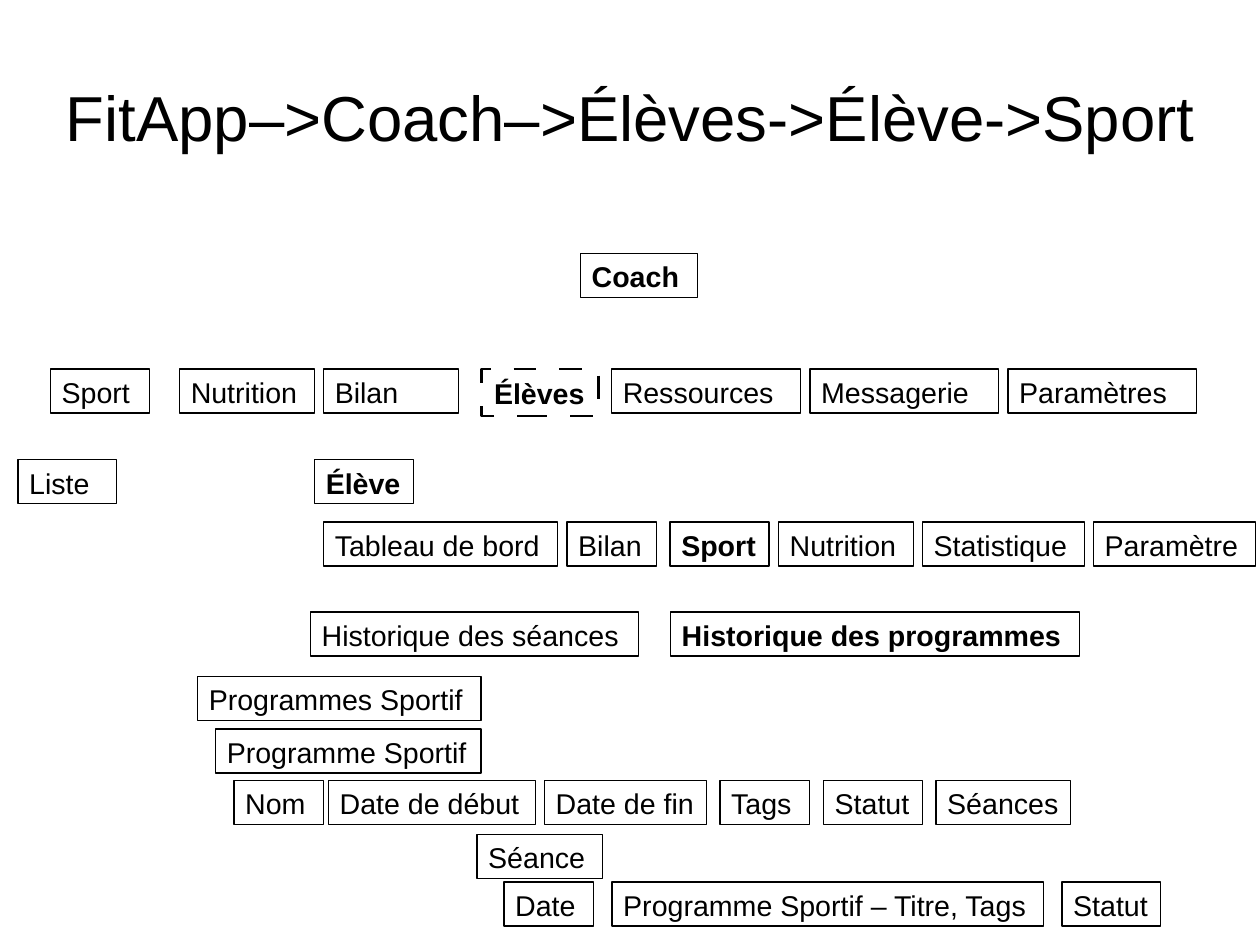
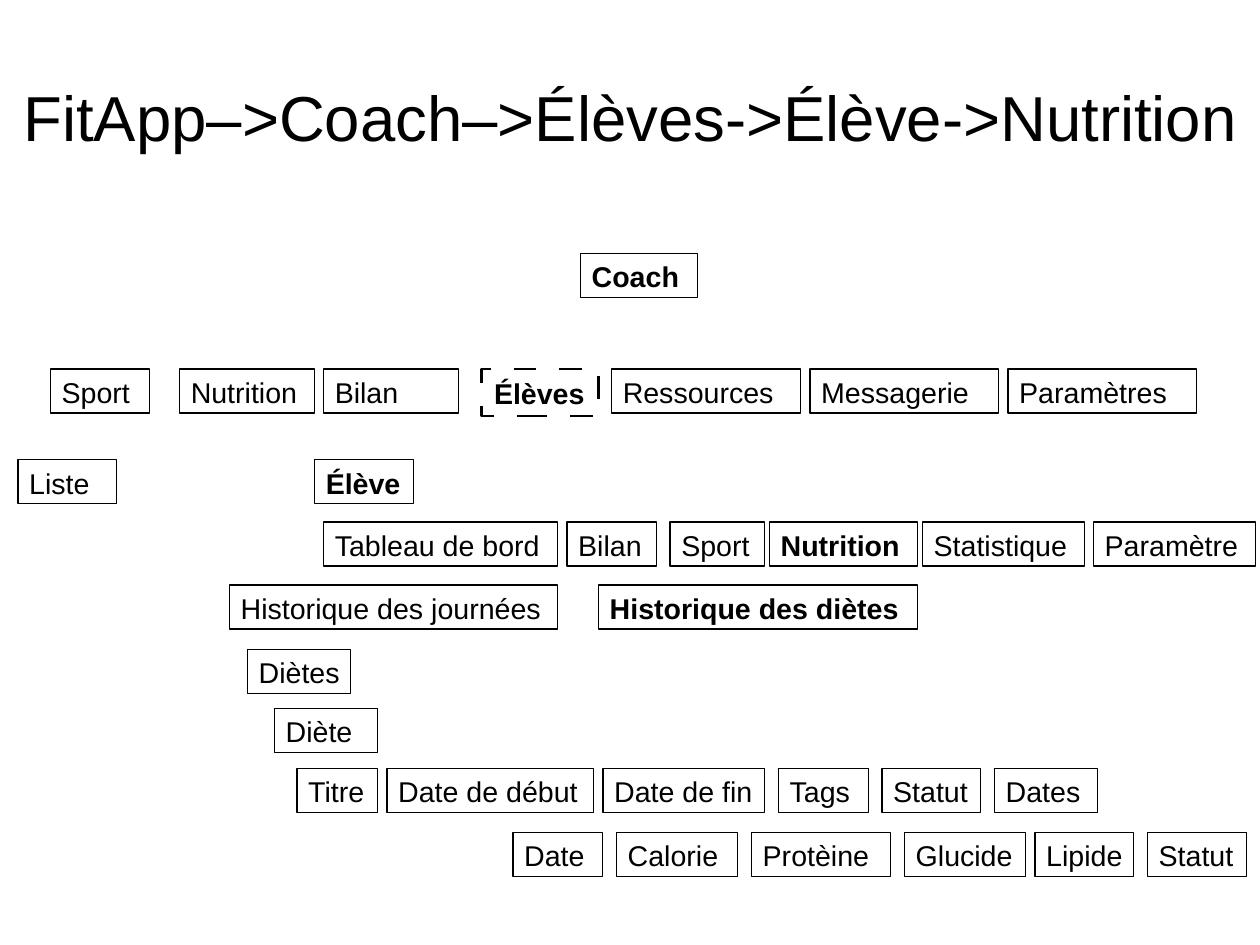
import dataclasses

import pptx
import pptx.dml.color
import pptx.enum.shapes
import pptx.enum.text
import pptx.util
from pptx.oxml.ns import qn
from lxml import etree


@dataclasses.dataclass(frozen=True)
class Theme:
    """Hold the colours, type sizes and grid that the slides share."""
    ink: pptx.dml.color.RGBColor = pptx.dml.color.RGBColor(0, 0, 0)
    font: str = "Arial"
    title_size: pptx.util.Pt = pptx.util.Pt(40)
    label_size: pptx.util.Pt = pptx.util.Pt(18)
    hairline: pptx.util.Pt = pptx.util.Pt(0)
    dashed_line: pptx.util.Pt = pptx.util.Pt(1.5)
    dash_share: str = "960000"
    columns: int = 280
    rows: int = 210


THEME = Theme()
PLAIN, BOLD, DASHED = "plain", "bold", "dashed"

COACH_MENU = [
    (56.3, [("Coach", 129, 26, BOLD)]),
    (82, [("Sport", 11.2, 22, PLAIN), ("Nutrition", 39.9, 30, PLAIN),
          ("Bilan", 71.9, 30, PLAIN), ("Élèves", 107, 26, DASHED),
          ("Ressources", 135.9, 42, PLAIN), ("Messagerie", 180, 42, PLAIN),
          ("Paramètres", 224, 42, PLAIN)]),
    (102.2, [("Liste", 4, 22, PLAIN), ("Élève", 69.9, 22, BOLD)]),
    (116, [("Tableau de bord", 71.9, 52, PLAIN), ("Bilan", 126, 20, PLAIN),
           ("Statistique", 205, 36, PLAIN), ("Paramètre", 243, 36, PLAIN)]),
]

SPORT_TREE = [
    (116, [("Sport", 148.9, 22, BOLD), ("Nutrition", 173, 30, PLAIN)]),
    (136, [("Historique des séances", 69, 73, PLAIN),
           ("Historique des programmes", 149, 91, BOLD)]),
    (150.3, [("Programmes Sportif", 43.9, 63, PLAIN)]),
    (162, [("Programme Sportif", 47.9, 59, PLAIN)]),
    (173.4, [("Nom", 52, 20, PLAIN), ("Date de début", 73, 46, PLAIN),
             ("Date de fin", 121, 36, PLAIN), ("Tags", 160, 20, PLAIN),
             ("Statut", 183, 22, PLAIN), ("Séances", 208, 30, PLAIN)]),
    (185.4, [("Séance", 106, 28, PLAIN)]),
    (196, [("Date", 112, 20, PLAIN),
           ("Programme Sportif – Titre, Tags", 136, 96, PLAIN),
           ("Statut", 236, 22, PLAIN)]),
]

NUTRITION_TREE = [
    (116, [("Sport", 148.9, 21, PLAIN), ("Nutrition", 171, 33, BOLD)]),
    (130, [("Historique des journées", 51, 73, PLAIN),
           ("Historique des diètes", 133, 71, BOLD)]),
    (144.3, [("Diètes", 55, 23, PLAIN)]),
    (157.4, [("Diète", 61, 23, PLAIN)]),
    (170.8, [("Titre", 66, 18, PLAIN), ("Date de début", 86, 46, PLAIN),
             ("Date de fin", 134, 36, PLAIN), ("Tags", 173, 20, PLAIN),
             ("Statut", 196, 22, PLAIN), ("Dates", 221, 23, PLAIN)]),
    (185, [("Date", 114, 20, PLAIN), ("Calorie", 137, 27, PLAIN),
           ("Protèine", 167, 31, PLAIN), ("Glucide", 201, 27, PLAIN),
           ("Lipide", 230, 22, PLAIN), ("Statut", 255, 22, PLAIN)]),
]

PAGES = [
    ("FitApp–>Coach–>Élèves->Élève->Sport", SPORT_TREE),
    ("FitApp–>Coach–>Élèves->Élève->Nutrition", NUTRITION_TREE),
]


def cell_box(box, column, row, columns, rows):
    """Turn grid cells of a box into left, top, width and height."""
    left, top, width, height = box
    across, down = width / THEME.columns, height / THEME.rows
    return (round(left + column * across), round(top + row * down),
            round(columns * across), round(rows * down))


def set_font(paragraph, size, bold=False):
    """Apply the shared typeface and colour to a paragraph."""
    paragraph.font.name = THEME.font
    paragraph.font.size = size
    paragraph.font.bold = bold
    paragraph.font.color.rgb = THEME.ink


def set_outline(entry, dashed):
    """Draw a hairline, or a wide dashed line, around an entry."""
    entry.line.color.rgb = THEME.ink
    entry.line.width = THEME.dashed_line if dashed else THEME.hairline
    if dashed:
        outline = entry.line.fill._xPr
        pattern = etree.SubElement(outline, qn("a:custDash"))
        etree.SubElement(pattern, qn("a:ds"),
                         d=THEME.dash_share, sp=THEME.dash_share)


def add_entry(slide, bounds, label, style):
    """Add one outlined menu entry."""
    entry = slide.shapes.add_shape(
        pptx.enum.shapes.MSO_SHAPE.RECTANGLE, *bounds)
    entry.shadow.inherit = False
    entry.fill.background()
    set_outline(entry, style == DASHED)
    frame = entry.text_frame
    frame.word_wrap = True
    frame.vertical_anchor = pptx.enum.text.MSO_ANCHOR.TOP
    frame.margin_left = pptx.util.Inches(0.11 if style == DASHED else 0.1)
    frame.margin_right = 0
    frame.margin_top = pptx.util.Inches(0.06 if style == DASHED else 0.05)
    frame.margin_bottom = 0
    paragraph = frame.paragraphs[0]
    paragraph.text = label
    paragraph.alignment = pptx.enum.text.PP_ALIGN.LEFT
    set_font(paragraph, THEME.label_size, style != PLAIN)


def add_menu(slide, box, levels):
    """Place the levels of a menu on the grid of a box."""
    for row, entries in levels:
        for label, column, columns, style in entries:
            height = 10.4 if style == DASHED else 9.8
            bounds = cell_box(box, column, row, columns, height)
            add_entry(slide, bounds, label, style)


def add_heading(slide, box, heading):
    """Move and format the title placeholder."""
    title = slide.shapes.title
    title.left, title.top, title.width, title.height = cell_box(
        box, 2, 8.4, 276, 35)
    frame = title.text_frame
    frame.margin_left = frame.margin_right = 0
    frame.margin_top = frame.margin_bottom = 0
    frame.word_wrap = True
    frame.auto_size = pptx.enum.text.MSO_AUTO_SIZE.NONE
    frame.vertical_anchor = pptx.enum.text.MSO_ANCHOR.MIDDLE
    paragraph = frame.paragraphs[0]
    paragraph.text = heading
    paragraph.alignment = pptx.enum.text.PP_ALIGN.CENTER
    set_font(paragraph, THEME.title_size)


def add_page(deck, heading, tree):
    """Add a slide with its heading, the coach menu and one tree."""
    slide = deck.slides.add_slide(deck.slide_layouts[5])
    page = (0, 0, deck.slide_width, deck.slide_height)
    add_heading(slide, page, heading)
    add_menu(slide, page, COACH_MENU)
    add_menu(slide, page, tree)


def main():
    """Build and save the presentation."""
    deck = pptx.Presentation()
    deck.slide_width = pptx.util.Cm(28)
    deck.slide_height = pptx.util.Cm(21)
    for heading, tree in PAGES:
        add_page(deck, heading, tree)
    deck.save("out.pptx")


if __name__ == "__main__":
    main()
